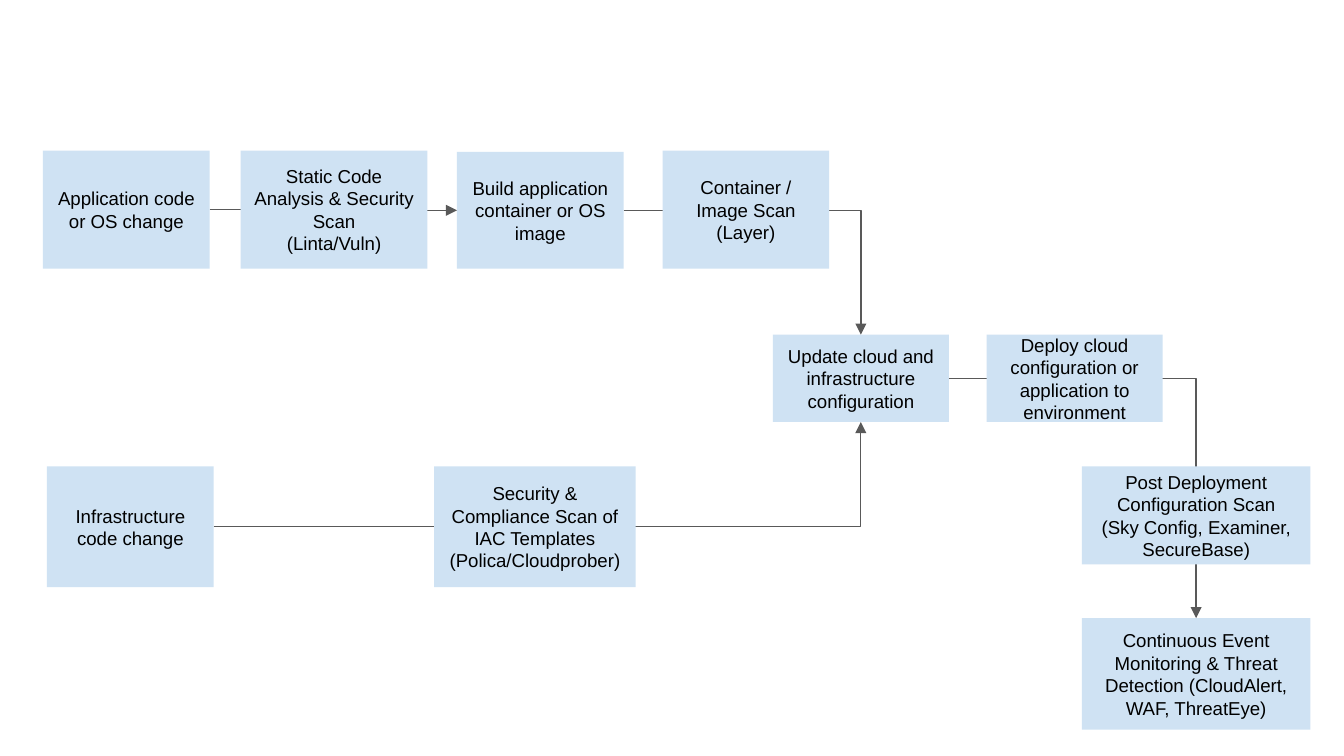
from pptx import Presentation
from pptx.dml.color import RGBColor
from pptx.enum.shapes import MSO_CONNECTOR, MSO_SHAPE
from pptx.enum.text import MSO_ANCHOR, PP_ALIGN
from pptx.oxml.ns import qn
from pptx.util import Inches, Pt
from lxml.etree import SubElement

THEME = {
    "font": "Arial",
    "size": Pt(10),
    "text": RGBColor.from_string("000000"),
    "box": RGBColor.from_string("CFE2F3"),
    "line": RGBColor.from_string("595959"),
}
TOP, LEFT, BOTTOM, RIGHT = range(4)  # connection sites of a rectangle

# Widescreen slide, 16:9
prs = Presentation()
prs.slide_width = Inches(10)
prs.slide_height = Inches(10 * 9 / 16)
s = prs.slides.add_slide(prs.slide_layouts[6])


def add_box(x, y, w, h, text):
    """Text: \\n starts a paragraph, \\v breaks a line."""
    sp = s.shapes.add_shape(MSO_SHAPE.RECTANGLE, Inches(x), Inches(y), Inches(w), Inches(h))
    sp.shadow.inherit = False
    sp.fill.solid()
    sp.fill.fore_color.rgb = THEME["box"]
    sp.line.fill.background()
    tf = sp.text_frame
    tf.word_wrap = True
    tf.vertical_anchor = MSO_ANCHOR.MIDDLE
    tf.margin_left = tf.margin_right = tf.margin_top = tf.margin_bottom = Inches(0.1)
    tf.text = text
    for p in tf.paragraphs:
        p.alignment = PP_ALIGN.CENTER
        p.font.name, p.font.size = THEME["font"], THEME["size"]
        p.font.color.rgb = THEME["text"]
    return sp


def add_arrow(start, start_site, end, end_site, preset):
    cn = s.shapes.add_connector(MSO_CONNECTOR.ELBOW, 0, 0, 0, 0)
    cn.begin_connect(start, start_site)
    cn.end_connect(end, end_site)
    cn.line.color.rgb = THEME["line"]
    cn.line.width = Pt(0.75)
    spPr = cn._element.spPr
    spPr.find(qn("a:prstGeom")).set("prst", preset)
    SubElement(spPr.find(qn("a:ln")), qn("a:tailEnd"), type="triangle")
    SubElement(spPr, qn("a:effectLst"))


# Main steps
build = add_box(3.4, 1.13, 1.24, 0.87, "Build application container or OS image")
monitor = add_box(8.05, 4.6, 1.7, 0.83,
                  "Continuous Event Monitoring & Threat Detection (CloudAlert, WAF, ThreatEye)")
update = add_box(5.75, 2.49, 1.31, 0.65, "Update cloud and infrastructure configuration")
app_change = add_box(0.32, 1.12, 1.24, 0.88, "Application code or OS change")
infra_change = add_box(0.35, 3.47, 1.24, 0.9, "Infrastructure code change")

# Flow between the main steps, running behind the checks
for arrow in [
    (app_change, RIGHT, build, LEFT, "bentConnector3"),
    (infra_change, RIGHT, update, BOTTOM, "bentConnector2"),
    (build, RIGHT, update, TOP, "bentConnector2"),
    (update, RIGHT, monitor, TOP, "bentConnector2"),
]:
    add_arrow(*arrow)

# Checks and deployment along the flow
for box in [
    (3.23, 3.47, 1.5, 0.9,
     "Security & Compliance Scan of IAC Templates\v(Polica/Cloudprober) "),
    (4.93, 1.12, 1.24, 0.88, "Container / Image Scan (Layer)"),
    (1.79, 1.12, 1.39, 0.88, "Static Code Analysis & Security Scan\n(Linta/Vuln)"),
    (7.34, 2.49, 1.31, 0.65, "Deploy cloud configuration or application to environment"),
    (8.05, 3.47, 1.7, 0.73,
     "Post Deployment Configuration Scan\n(Sky Config, Examiner, SecureBase)"),
]:
    add_box(*box)

prs.save("out.pptx")
